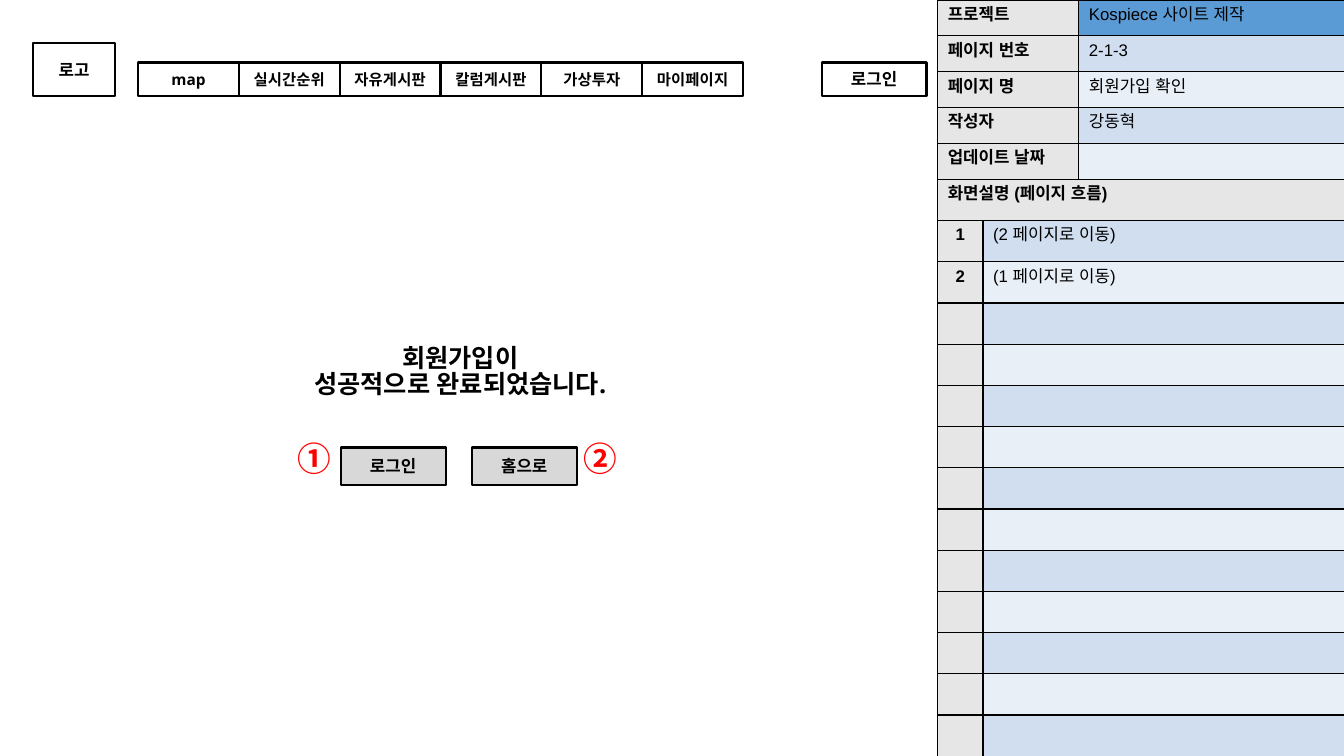
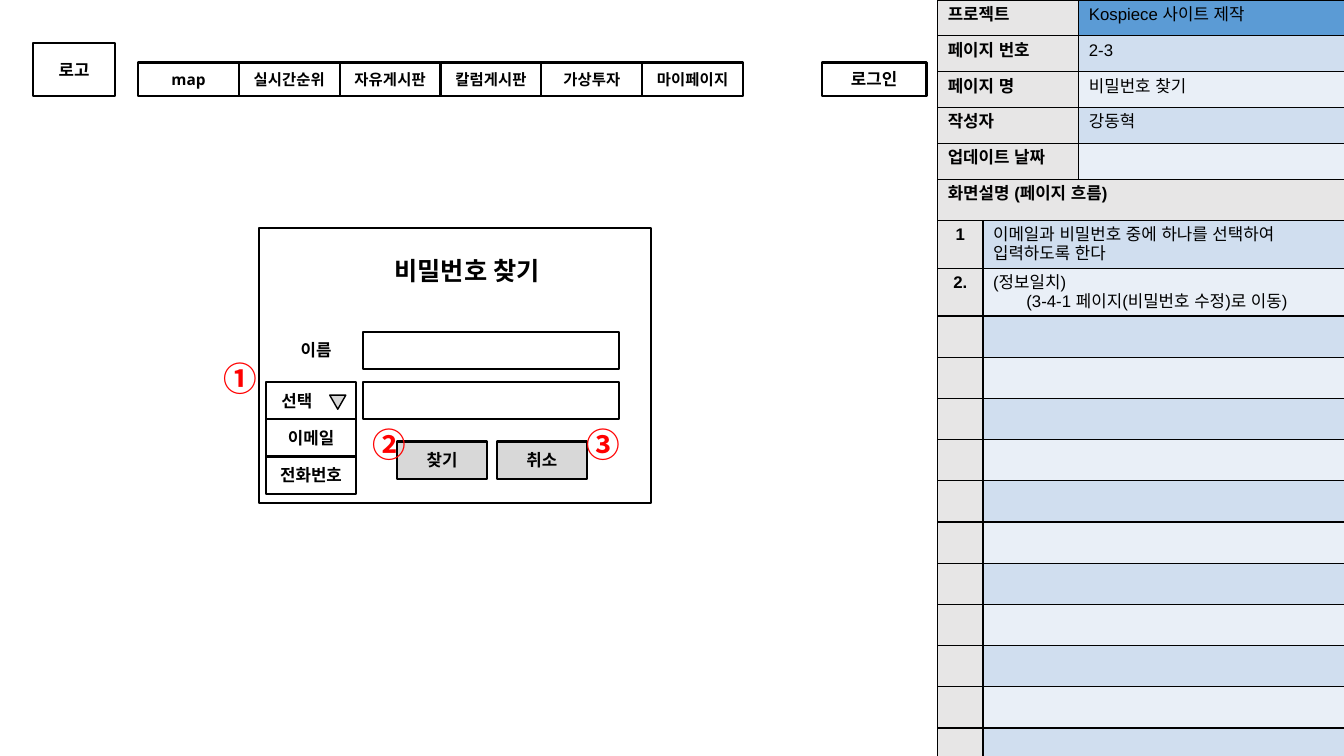
from lxml.etree import SubElement
from pptx import Presentation
from pptx.dml.color import RGBColor
from pptx.enum.shapes import MSO_SHAPE
from pptx.enum.text import MSO_ANCHOR, MSO_AUTO_SIZE, PP_ALIGN
from pptx.oxml.ns import qn
from pptx.util import Inches, Pt

BLACK, RED, GREY, LABEL = "000000", "FF0000", "D8D8D8", "E7E6E6"
HEADER, BANDS = "5B9BD5", ("D0DEEF", "E9EFF7")
LABEL_FONT, CELL_FONT, MARK_FONT = "Open Sans", "Arial", "Noto Sans CJK KR"
MENU = ("map", "실시간순위", "자유게시판", "칼럼게시판", "가상투자", "마이페이지")
INFO_LABELS = ("프로젝트", "페이지 번호", "페이지 명", "작성자", "업데이트 날짜")
INFO_ROW, NOTE_ROW, NOTE_COUNT = 0.356, 0.409, 13
FIELD_HEIGHT = 0.37


def color(value):
    """Turn a hex string into a colour."""
    return RGBColor.from_string(value)


def assign(target, values):
    """Set attributes of an object from a dict."""
    for name, value in values.items():
        setattr(target, name, value)


def write(frame, text, size=12, font=LABEL_FONT, ink=BLACK, bold=True,
          align=PP_ALIGN.CENTER, spacing=None, indent=0):
    """Write lines of text, the later ones indented."""
    frame.text = text
    for index, para in enumerate(frame.paragraphs):
        assign(para, {"alignment": align, "line_spacing": spacing})
        if index and indent:
            properties = para._p.get_or_add_pPr()
            properties.set("marL", str(Inches(indent)))
            properties.set("indent", "0")
        for span in para.runs:
            assign(span.font, {"size": Pt(size), "bold": bold, "name": font})
            span.font.color.rgb = color(ink)
            SubElement(span._r.get_or_add_rPr(), qn("a:ea"), typeface=font)
        if not para.runs:
            SubElement(para._p, qn("a:endParaRPr"), sz=str(size * 100))


def set_frame(frame, side=0.1, edge=0.1, anchor=MSO_ANCHOR.MIDDLE):
    """Set the insets, wrapping and anchor of a text frame."""
    assign(frame, {
        "margin_left": Inches(side), "margin_right": Inches(0.1),
        "margin_top": Inches(edge), "margin_bottom": Inches(edge),
        "word_wrap": True, "auto_size": MSO_AUTO_SIZE.NONE,
        "vertical_anchor": anchor,
    })


def add_box(page, place, text="", fill=None, size=12, side=0.1,
            align=PP_ALIGN.CENTER, kind=MSO_SHAPE.RECTANGLE, weight=1.5):
    """Add an outlined shape, with a label if given."""
    box = page.shapes.add_shape(kind, *map(Inches, place))
    box.shadow.inherit = False
    if fill:
        box.fill.solid()
        box.fill.fore_color.rgb = color(fill)
    else:
        box.fill.background()
    box.line.color.rgb = color(BLACK)
    box.line.width = Pt(weight)
    if text:
        set_frame(box.text_frame, side)
        write(box.text_frame, text, size, align=align)
    return box


def add_label(page, place, text):
    """Add a centred label without outline."""
    frame = page.shapes.add_textbox(*map(Inches, place)).text_frame
    set_frame(frame)
    write(frame, text)


def add_mark(page, left, top, text):
    """Add a red circled number."""
    frame = page.shapes.add_textbox(*map(Inches, (left, top, 0.6, 0.5))).text_frame
    set_frame(frame, edge=0.05, anchor=MSO_ANCHOR.TOP)
    write(frame, text, 24, MARK_FONT, RED, align=PP_ALIGN.LEFT)


def set_title(page, place, text):
    """Place and write the title placeholder."""
    title = page.shapes.title
    assign(title, dict(zip(("left", "top", "width", "height"), map(Inches, place))))
    set_frame(title.text_frame)
    write(title.text_frame, text, 18, spacing=0.85)


def fill_cell(cell, text, fill, bold, align=PP_ALIGN.LEFT, indent=0):
    """Give a cell its borders, fill and text."""
    properties = cell._tc.get_or_add_tcPr()
    for side in ("lnL", "lnR", "lnT", "lnB"):
        border = SubElement(properties, qn(f"a:{side}"), w=str(Pt(1)))
        SubElement(SubElement(border, qn("a:solidFill")), qn("a:srgbClr"), val=BLACK)
    cell.fill.solid()
    cell.fill.fore_color.rgb = color(fill)
    write(cell.text_frame, text, font=CELL_FONT, bold=bold, align=align, indent=indent)


def add_grid(page, top, widths, row_count, row_height):
    """Add a plain table in the side panel."""
    place = (9.3, top, sum(widths), row_count * row_height)
    grid = page.shapes.add_table(row_count, len(widths), *map(Inches, place)).table
    assign(grid, {"first_row": False, "horz_banding": False})
    for column, width in zip(grid.columns, widths):
        column.width = Inches(width)
    for row in grid.rows:
        row.height = Inches(row_height)
    return grid


def add_panel(page, number, name, notes):
    """Add the page facts and the numbered notes."""
    facts = ("Kospiece 사이트 제작", number, name, "강동혁", "")
    info = add_grid(page, 0, (1.4, 2.64), len(facts), INFO_ROW)
    for row, (label, fact) in enumerate(zip(INFO_LABELS, facts)):
        fill_cell(info.cell(row, 0), label, LABEL, True)
        fill_cell(info.cell(row, 1), fact, BANDS[(row - 1) % 2] if row else HEADER, False)

    flow = add_grid(page, INFO_ROW * len(facts), (0.45, 3.59), NOTE_COUNT + 1, NOTE_ROW)
    flow.cell(0, 0).merge(flow.cell(0, 1))
    fill_cell(flow.cell(0, 0), "화면설명 (페이지 흐름)", LABEL, True)
    fill_cell(flow.cell(0, 1), "", LABEL, True)
    blanks = [("", "", 0)] * (NOTE_COUNT - len(notes))
    for row, (label, note, indent) in enumerate(notes + blanks, 1):
        fill_cell(flow.cell(row, 0), label, LABEL, True, PP_ALIGN.CENTER)
        fill_cell(flow.cell(row, 1), note, BANDS[(row - 1) % 2], False, indent=indent)


def add_page(deck, number, name, notes):
    """Add a page with the side panel and site header."""
    page = deck.slides.add_slide(deck.slide_layouts.get_by_name("Title Only"))
    add_panel(page, number, name, notes)
    add_box(page, (0.33, 0.43, 0.81, 0.52), "로고")
    add_box(page, (8.15, 0.62, 1.04, 0.33), "로그인")
    for index, text in enumerate(MENU):
        add_box(page, (1.37 + index, 0.62, 1, 0.33), text, size=11)
    return page


def add_signup_page(deck):
    """Build the sign-up confirmation page."""
    notes = [("1", "(2 페이지로 이동)", 0), ("2", "(1 페이지로 이동)", 0)]
    page = add_page(deck, "2-1-3", "회원가입 확인", notes)
    set_title(page, (2.34, 3.51, 4.45, FIELD_HEIGHT), "회원가입이\n성공적으로 완료되었습니다.")
    for left, text in ((3.38, "로그인"), (4.68, "홈으로")):
        add_box(page, (left, 4.44, 1.04, FIELD_HEIGHT), text, GREY)
    for left, text in ((2.85, "①"), (5.69, "②")):
        add_mark(page, left, 4.3, text)


def add_password_page(deck):
    """Build the password search page."""
    notes = [
        ("1", "이메일과 비밀번호 중에 하나를 선택하여\n입력하도록 한다", 0),
        ("2.", "(정보일치)\n(3-4-1 페이지(비밀번호 수정)로 이동)", 0.33),
    ]
    page = add_page(deck, "2-3", "비밀번호 찾기", notes)
    add_box(page, (2.57, 2.26, 3.89, 2.73))
    set_title(page, (3.73, 2.52, 1.81, FIELD_HEIGHT), "비밀번호 찾기")
    add_label(page, (2.72, 3.29, 0.83, FIELD_HEIGHT), "이름")
    for top in (3.29, 3.79):
        add_box(page, (3.6, top, 2.54, FIELD_HEIGHT))
    add_box(page, (2.64, 3.79, 0.89, FIELD_HEIGHT), "선택", side=0.15, align=PP_ALIGN.LEFT)
    for index, text in enumerate(("이메일", "전화번호"), 1):
        add_box(page, (2.64, 3.79 + index * FIELD_HEIGHT, 0.89, FIELD_HEIGHT), text)
    arrow = add_box(page, (3.27, 3.92, 0.16, 0.14), fill=GREY,
                    kind=MSO_SHAPE.ISOSCELES_TRIANGLE, weight=1)
    arrow.rotation = 180
    for left, text in ((3.94, "찾기"), (4.93, "취소")):
        add_box(page, (left, 4.38, 0.89, FIELD_HEIGHT), text, GREY)
    for left, top, text in ((2.12, 3.5, "①"), (3.6, 4.16, "②"), (5.72, 4.16, "③")):
        add_mark(page, left, top, text)


def main():
    """Build and save the deck."""
    deck = Presentation()
    assign(deck, {"slide_width": Inches(13.33), "slide_height": Inches(7.5)})
    add_signup_page(deck)
    add_password_page(deck)
    deck.save("out.pptx")


if __name__ == "__main__":
    main()
